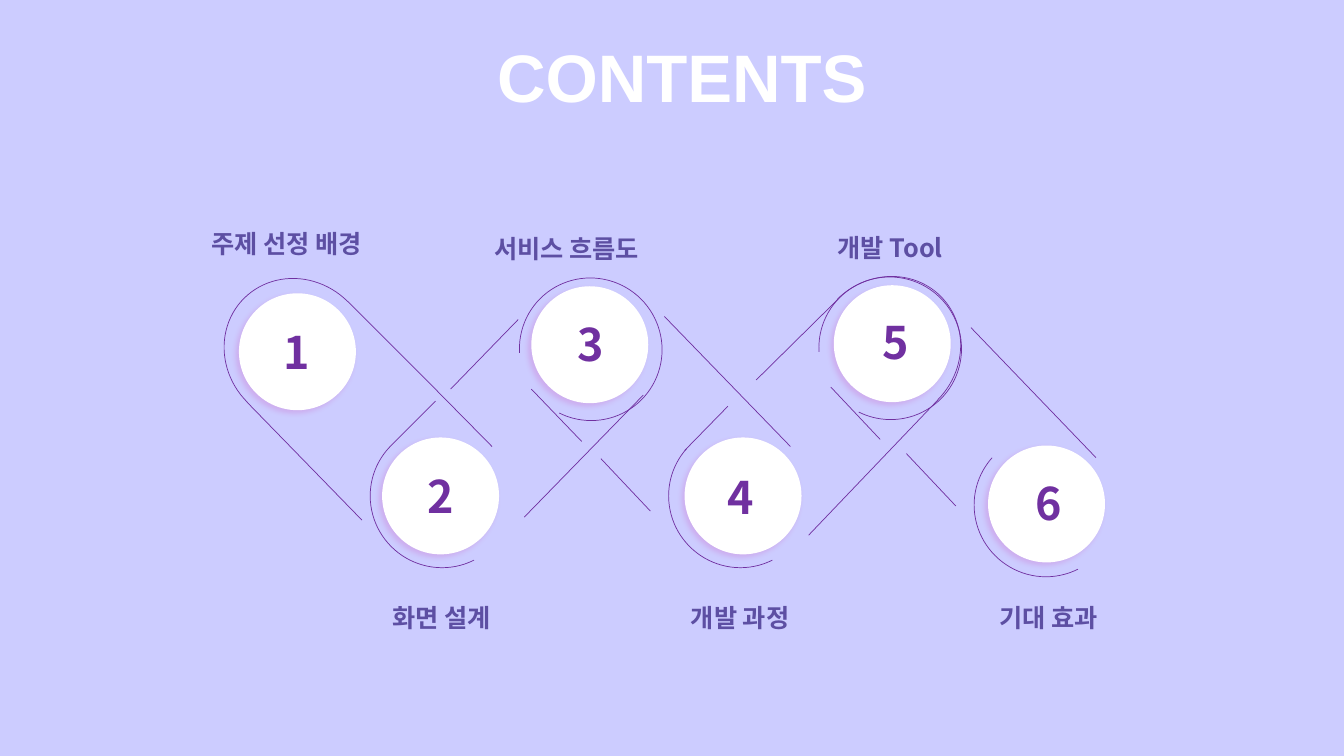
import pptx
import pptx.util
import pptx.dml.color
import pptx.enum.shapes
import pptx.enum.text
import pptx.oxml
import pptx.oxml.ns

PX = 9144  # EMU, 100 px to the inch
KOREAN = "Noto Sans CJK KR"
PURPLE, VIOLET, WHITE = "7030A0", "5D4FA3", "FFFFFF"
CIRCLE, LABEL, NUMBER = (116, 116), (230, 50), (47, 64)
ARC, BRACKET = (142, 141), (75, 141)

# label, label position, circle position, number position
STEPS = [
    ("주제 선정 배경", (169, 207), (237, 291), (271, 317)),
    ("화면 설계", (323, 578), (379, 434), (414, 460)),
    ("서비스 흐름도", (447, 212), (527, 284), (563, 309)),
    ("개발 과정", (619, 578), (679, 434), (712, 461)),
    ("개발 Tool", (768, 211), (827, 283), (865, 307)),
    ("기대 효과", (925, 578), (980, 442), (1017, 467)),
]

# x and y of the start, x and y of the end
LINES = [
    (345, 299, 419, 373), (419, 373, 488, 443), (245, 399, 359, 516),
    (447, 386, 514, 317), (520, 513, 638, 392), (386, 444, 432, 398),
    (659, 314, 784, 443), (527, 386, 577, 438), (596, 455, 645, 507),
    (679, 447, 722, 403), (930, 397, 802, 531), (831, 297, 750, 377),
    (963, 325, 1087, 454), (899, 450, 948, 502), (824, 384, 873, 436),
]

# position, start angle, end angle
ARCS = [
    ((367, 422), 1.61, 161.99),
    ((663, 422), 3.21, 161.99),
    ((515, 276), 108.77, 47.89),
    ((966, 431), 3.21, 161.99),
    ((812, 275), 108.77, 47.89),
]

# position, rotation
BRACKETS = [((231, 252), 45), ((869, 250), 135)]


def rgb(color):
    return pptx.dml.color.RGBColor.from_string(color)


def box(position, size):
    return [n * PX for n in position + size]


def style_line(line):
    line.color.rgb = rgb(PURPLE)
    line.width = pptx.util.Pt(0.5)


def add_line(slide, x1, y1, x2, y2):
    line = slide.shapes.add_connector(
        pptx.enum.shapes.MSO_CONNECTOR.STRAIGHT, x1 * PX, y1 * PX, x2 * PX, y2 * PX)
    style_line(line.line)
    pptx.oxml.ns  # namespace map used by qn below
    line._element.spPr.append(pptx.oxml.parse_xml(
        f'<a:effectLst {pptx.oxml.ns.nsdecls("a")}/>'))


def add_outline(slide, kind, position, size, rotation, adjustments):
    sp = slide.shapes.add_shape(kind, *box(position, size))
    sp.rotation = rotation
    for i, value in enumerate(adjustments):
        sp.adjustments[i] = value
    sp.fill.background()
    style_line(sp.line)
    sp.shadow.inherit = False
    return sp


def add_circle(slide, position):
    sp = slide.shapes.add_shape(pptx.enum.shapes.MSO_SHAPE.OVAL, *box(position, CIRCLE))
    sp.fill.solid()
    sp.fill.fore_color.rgb = rgb(WHITE)
    sp.line.fill.background()
    sp.shadow.inherit = False
    effects = sp._element.spPr.find(pptx.oxml.ns.qn("a:effectLst"))
    effects.append(pptx.oxml.parse_xml(
        f'<a:outerShdw {pptx.oxml.ns.nsdecls("a")} blurRad="50800" dist="38100" '
        'dir="8100000" algn="tr" rotWithShape="0"><a:srgbClr val="D60093">'
        '<a:alpha val="15000"/></a:srgbClr></a:outerShdw>'))


def set_text(sp, text, font, size, color, align, spacing=1.0):
    tf = sp.text_frame
    tf.text = text
    tf.word_wrap = True
    tf.auto_size = pptx.enum.text.MSO_AUTO_SIZE.SHAPE_TO_FIT_TEXT
    tf.vertical_anchor = pptx.enum.text.MSO_ANCHOR.TOP
    p = tf.paragraphs[0]
    p.alignment = align
    p.line_spacing = spacing
    r = p.runs[0]
    r.font.size = pptx.util.Pt(size)
    r.font.bold = True
    r.font.color.rgb = rgb(color)
    r.font.name = font
    r.font._element.append(pptx.oxml.parse_xml(
        f'<a:ea {pptx.oxml.ns.nsdecls("a")} typeface="{font}"/>'))


def main():
    left, center = pptx.enum.text.PP_ALIGN.LEFT, pptx.enum.text.PP_ALIGN.CENTER
    shapes = pptx.enum.shapes.MSO_SHAPE
    prs = pptx.Presentation()
    prs.slide_width, prs.slide_height = 1333 * PX, 750 * PX
    slide = prs.slides.add_slide(prs.slide_layouts[5])
    slide.background.fill.solid()
    slide.background.fill.fore_color.rgb = rgb("CCCCFF")

    title = slide.shapes.title
    title.left, title.top, title.width, title.height = box((383, 30), (568, 91))
    set_text(title, "CONTENTS", "Arial", 48, WHITE, left)
    title.text_frame.margin_left = 110 * PX

    for ends in LINES:
        add_line(slide, *ends)
    for position, start, end in ARCS:
        # python-pptx divides by 100000, angles count 60000 to the degree
        arc = add_outline(slide, shapes.ARC, position, ARC, 45, (start * 0.6, end * 0.6))
        arc._element.spPr.xfrm.set("flipH", "1")
    for position, rotation in BRACKETS:
        add_outline(slide, shapes.LEFT_BRACKET, position, BRACKET, rotation, (0.94,))

    for number, (label, label_at, circle_at, number_at) in enumerate(STEPS, 1):
        add_circle(slide, circle_at)
        sp = slide.shapes.add_textbox(*box(number_at, NUMBER))
        set_text(sp, str(number), KOREAN, 32, PURPLE, left)
        sp = slide.shapes.add_textbox(*box(label_at, LABEL))
        set_text(sp, label, KOREAN, 18, VIOLET, center, 1.5)

    prs.save("out.pptx")


if __name__ == "__main__":
    main()
